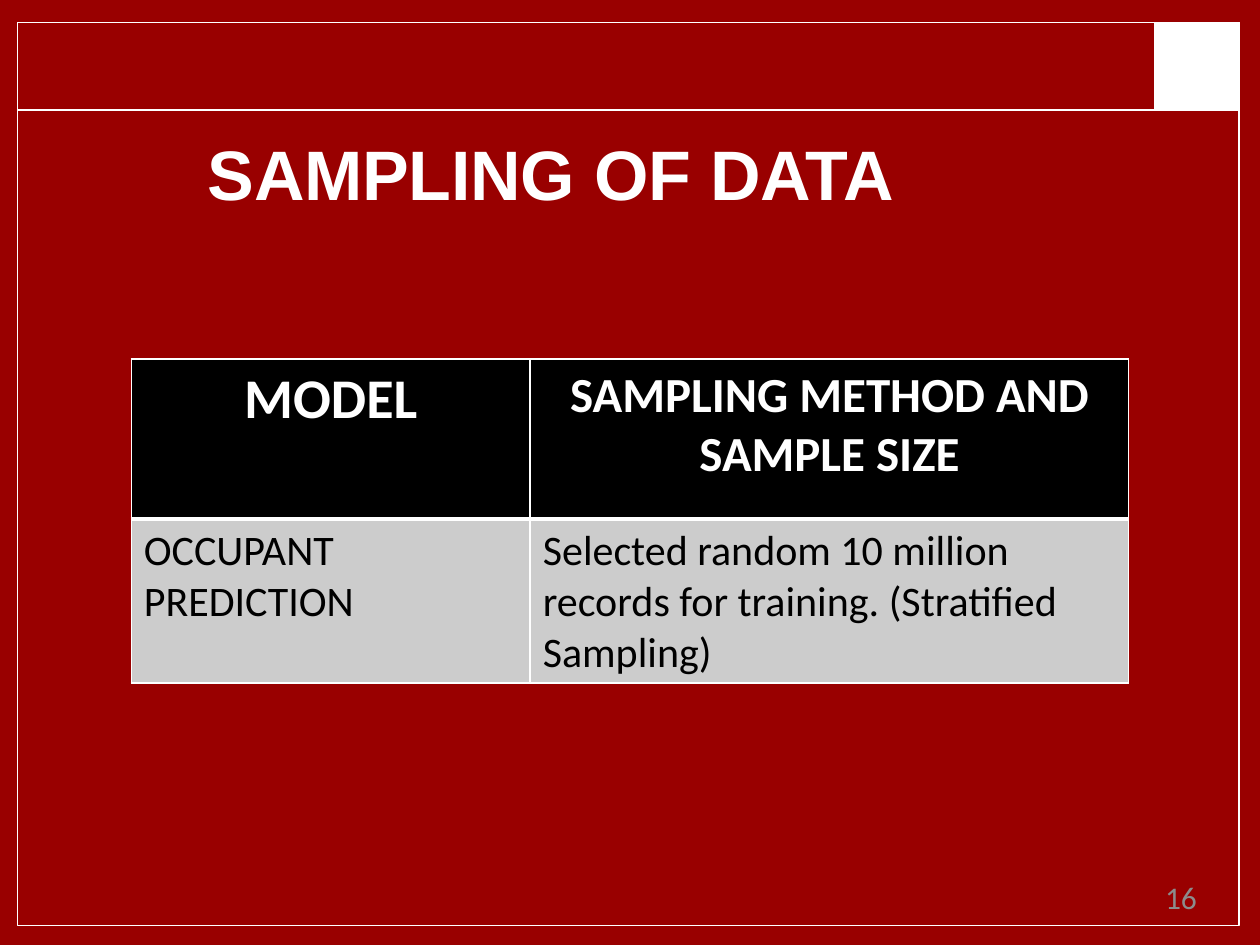
from lxml import etree
from pptx import Presentation
from pptx.dml.color import RGBColor
from pptx.enum.shapes import MSO_SHAPE
from pptx.enum.text import MSO_ANCHOR, PP_ALIGN
from pptx.oxml.ns import qn
from pptx.util import Pt

RECTANGLE = MSO_SHAPE.RECTANGLE
TOP = MSO_ANCHOR.TOP
LEFT, CENTER, RIGHT = PP_ALIGN.LEFT, PP_ALIGN.CENTER, PP_ALIGN.RIGHT
RED, WHITE, BLACK, SILVER, GREY = "990000", "FFFFFF", "000000", "CCCCCC", "8C8C8C"
HEADERS = [("MODEL", 32), ("SAMPLING METHOD AND SAMPLE SIZE", 28)]
RECORDS = [
    ("OCCUPANT PREDICTION", 24),
    ("Selected random 10 million records for training. (Stratified Sampling)", 24),
]


def color(value):
    """Turn a hex string into a colour."""
    return RGBColor.from_string(value)


def write(frame, text, size, font, ink, bold=False, align=LEFT):
    """Put one formatted paragraph in a text frame and return it."""
    frame.text = text
    frame.word_wrap = True
    para = frame.paragraphs[0]
    para.alignment = align
    para.font.size = Pt(size)
    para.font.name = font
    para.font.bold = bold
    para.font.color.rgb = color(ink)
    return para


def place(box, left, top, width, height):
    """Move a text shape and take away its margins."""
    box.left, box.top, box.width, box.height = map(Pt, (left, top, width, height))
    frame = box.text_frame
    frame.margin_left = frame.margin_top = frame.margin_right = frame.margin_bottom = 0
    frame.vertical_anchor = TOP


def add_frame(page, left, top, width, height, filled=False):
    """Draw a white outlined rectangle, filled on request."""
    box = page.shapes.add_shape(RECTANGLE, Pt(left), Pt(top), Pt(width), Pt(height))
    box.shadow.inherit = False
    box.line.color.rgb = color(WHITE)
    box.line.width = Pt(0.96)
    if filled:
        box.fill.solid()
        box.fill.fore_color.rgb = color(WHITE)
    else:
        box.fill.background()


def add_title(page, text):
    """Fill the title placeholder with an indented bold heading."""
    title = page.shapes.title
    place(title, 90, 73.5, 458.6, 49.7)
    title.text_frame.margin_top = Pt(0.9)
    para = write(title.text_frame, text, 40, "Arial", WHITE, True)
    para.space_before = Pt(0.9)
    properties = para.runs[0].font
    properties.bold = True
    para.runs[0]._r.get_or_add_rPr().set("spc", "-10")
    para._p.get_or_add_pPr().set("marL", str(Pt(0.72)))
    para._p.get_or_add_pPr().set("indent", str(Pt(28)))


def add_page_number(page, text):
    """Add the page number at the lower right."""
    box = page.shapes.add_textbox(0, 0, 0, 0)
    place(box, 518.4, 501.8, 165.6, 27.4)
    write(box.text_frame, text, 18, "Calibri", GREY, align=RIGHT)


def set_borders(cell, bottom_width):
    """Give a cell white borders, with its own width below."""
    properties = cell._tc.get_or_add_tcPr()
    widths = {"a:lnL": 1, "a:lnR": 1, "a:lnT": 1, "a:lnB": bottom_width}
    for index, (tag, width) in enumerate(widths.items()):
        line = etree.Element(qn(tag), w=str(Pt(width)))
        fill = etree.SubElement(line, qn("a:solidFill"))
        etree.SubElement(fill, qn("a:srgbClr"), val=WHITE)
        properties.insert(index, line)


def fill_row(row, entries, ink, ground, bold, align, bottom_width):
    """Write and colour the cells of one table row."""
    for cell, (text, size) in zip(row.cells, entries):
        write(cell.text_frame, text, size, "Calibri", ink, bold, align)
        cell.fill.solid()
        cell.fill.fore_color.rgb = color(ground)
        set_borders(cell, bottom_width)


def add_sampling_table(page):
    """Add the table of models and their sampling."""
    table = page.shapes.add_table(2, 2, Pt(75), Pt(205.2), Pt(570), Pt(185)).table
    for column, width in zip(table.columns, (228, 342)):
        column.width = Pt(width)
    for row, height in zip(table.rows, (91.4, 93.6)):
        row.height = Pt(height)
    header, record = table.rows
    fill_row(header, HEADERS, WHITE, BLACK, True, CENTER, 3)
    fill_row(record, RECORDS, BLACK, SILVER, False, LEFT, 1)
    for cell in record.cells:
        cell._tc.get_or_add_tcPr().find(qn("a:lnT")).set("w", str(Pt(3)))


def main():
    """Build the sampling slide."""
    deck = Presentation()
    deck.slide_width, deck.slide_height = Pt(720), Pt(540)
    page = deck.slides.add_slide(deck.slide_layouts[5])
    page.background.fill.solid()
    page.background.fill.fore_color.rgb = color(RED)
    add_frame(page, 10, 12.8, 698, 516.2)
    add_frame(page, 10, 12.8, 698, 50)
    add_frame(page, 659.8, 12.8, 48.2, 50, filled=True)
    add_title(page, "SAMPLING OF DATA")
    add_page_number(page, "16")
    add_sampling_table(page)
    deck.save("out.pptx")


if __name__ == "__main__":
    main()
